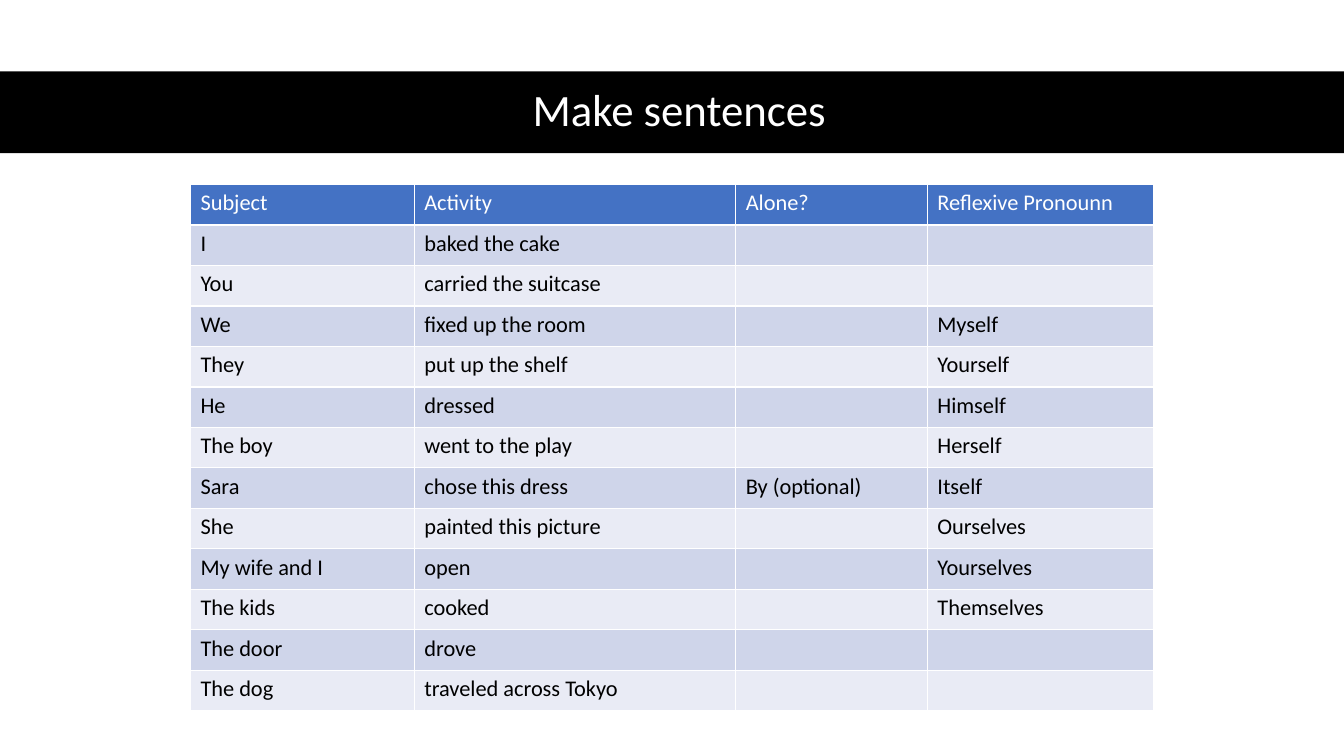
from dataclasses import dataclass

import lxml.etree
import pptx
import pptx.dml.color
import pptx.enum.shapes
import pptx.enum.text
import pptx.oxml.ns
import pptx.util
from pptx.util import Cm


@dataclass(frozen=True)
class Theme:
    """Colours, font and type sizes of the slide."""
    font: str = "Calibri"
    title_size: int = 32
    table_size: int = 16
    black: str = "000000"
    white: str = "FFFFFF"
    header: str = "4472C4"
    bands: tuple = ("CFD5EA", "E9EBF5")


THEME = Theme()
COLUMN_WIDTHS = (5.64, 8.1, 4.83, 5.69)
ROW_HEIGHT = 1.02
ROWS = (
    ("Subject", "Activity", "Alone?", "Reflexive Pronounn"),
    ("I", "baked the cake", "", ""),
    ("You", "carried the suitcase", "", ""),
    ("We", "fixed up the room", "", "Myself"),
    ("They", "put up the shelf", "", "Yourself"),
    ("He", "dressed", "", "Himself"),
    ("The boy", "went to the play", "", "Herself"),
    ("Sara", "chose this dress", "By (optional)", "Itself"),
    ("She", "painted this picture", "", "Ourselves"),
    ("My wife and I", "open", "", "Yourselves"),
    ("The kids", "cooked", "", "Themselves"),
    ("The door", "drove", "", ""),
    ("The dog", "traveled across Tokyo", "", ""),
)


def paint(fill, colour):
    """Give a fill one solid colour."""
    fill.solid()
    fill.fore_color.rgb = pptx.dml.color.RGBColor.from_string(colour)


def write(frame, words, size, colour):
    """Set the words of a text frame and format them."""
    frame.text = words
    paragraph = frame.paragraphs[0]
    for run in paragraph.runs:
        run.font.name = THEME.font
        run.font.size = pptx.util.Pt(size)
        run.font.bold = False
        run.font.color.rgb = pptx.dml.color.RGBColor.from_string(colour)
    if not words:
        lxml.etree.SubElement(paragraph._p, pptx.oxml.ns.qn("a:endParaRPr"), sz=str(size * 100))
    return paragraph


def add_band(slide):
    """Draw the black band across the slide."""
    band = slide.shapes.add_shape(
        pptx.enum.shapes.MSO_SHAPE.RECTANGLE, Cm(0), Cm(1.8), Cm(33.87), Cm(2.06))
    band.shadow.inherit = False
    band.line.fill.background()
    paint(band.fill, THEME.black)


def add_title(slide, words):
    """Write the centred title over the band."""
    title = slide.shapes.add_textbox(Cm(1.55), Cm(1.78), Cm(31.14), Cm(2.06))
    frame = title.text_frame
    frame.word_wrap = True
    frame.vertical_anchor = pptx.enum.text.MSO_ANCHOR.MIDDLE
    paragraph = write(frame, words, THEME.title_size, THEME.white)
    paragraph.alignment = pptx.enum.text.PP_ALIGN.CENTER
    paragraph.line_spacing = 0.9


def add_sentence_table(slide, rows):
    """Build the table of sentence parts with a header and banded rows."""
    table = slide.shapes.add_table(
        len(rows), len(COLUMN_WIDTHS), Cm(4.8), Cm(4.65),
        Cm(sum(COLUMN_WIDTHS)), Cm(ROW_HEIGHT * len(rows))).table
    for column, width in zip(table.columns, COLUMN_WIDTHS):
        column.width = Cm(width)
    for index, (row, entries) in enumerate(zip(table.rows, rows)):
        row.height = Cm(ROW_HEIGHT)
        is_header = index == 0
        background = THEME.header if is_header else THEME.bands[(index - 1) % 2]
        ink = THEME.white if is_header else THEME.black
        for cell, words in zip(row.cells, entries):
            paint(cell.fill, background)
            write(cell.text_frame, words, THEME.table_size, ink)


def main():
    """Build and save the slide."""
    deck = pptx.Presentation()
    deck.slide_width, deck.slide_height = Cm(33.87), Cm(19.05)
    slide = deck.slides.add_slide(deck.slide_layouts[6])
    add_band(slide)
    add_title(slide, "Make sentences")
    add_sentence_table(slide, ROWS)
    deck.save("out.pptx")


if __name__ == "__main__":
    main()
